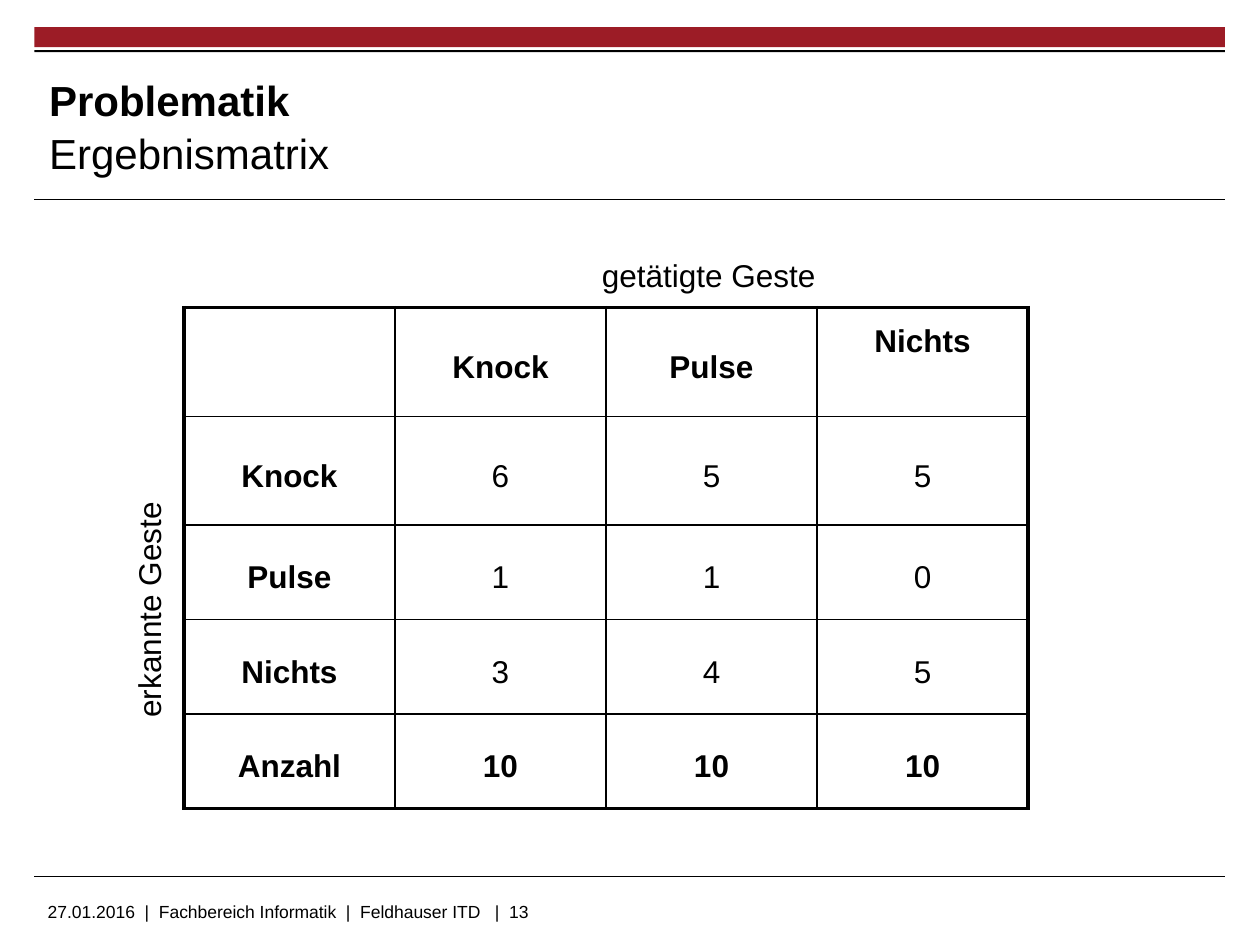
from lxml.etree import SubElement
from pptx import Presentation
from pptx.dml.color import RGBColor
from pptx.enum.shapes import MSO_CONNECTOR, MSO_SHAPE
from pptx.enum.text import MSO_ANCHOR as Anchor, PP_ALIGN as Align
from pptx.oxml import parse_xml
from pptx.oxml.ns import nsdecls, qn
from pptx.util import Pt

COLORS = {"band": "9C1C26", "ink": "000000"}
FONT = "Arial"
LEFT, WIDTH = 19.6, 680.4

MATRIX = [
    ["", "Knock", "Pulse", "Nichts"],
    ["Knock", "6", "5", "5"],
    ["Pulse", "1", "1", "0"],
    ["Nichts", "3", "4", "5"],
    ["Anzahl", "10", "10", "10"],
]
ROW_HEIGHTS = [62.4, 62, 54, 54, 54]
COLUMN_WIDTH = 120.6
OUTER, INNER = 2.25, 1


def color(name):
    return RGBColor.from_string(COLORS[name])


def style_font(paragraph, size, bold=False):
    font = paragraph.font
    font.name, font.size, font.bold = FONT, Pt(size), bold
    font.color.rgb = color("ink")


def add_bar(slide, top, height, fill):
    bar = slide.shapes.add_shape(
        MSO_SHAPE.RECTANGLE, Pt(LEFT), Pt(top), Pt(WIDTH), Pt(height))
    bar.shadow.inherit = False
    bar.fill.solid()
    bar.fill.fore_color.rgb = color(fill)
    bar.line.fill.background()


def add_rule(slide, top):
    rule = slide.shapes.add_connector(
        MSO_CONNECTOR.STRAIGHT, Pt(LEFT), Pt(top), Pt(LEFT + WIDTH), Pt(top))
    rule.line.color.rgb = color("ink")
    rule.line.width = Pt(0.6)
    SubElement(rule._element.spPr, qn("a:effectLst"))


def add_label(slide, text, left, top, width, height, size, align, rotation=0):
    label = slide.shapes.add_textbox(Pt(left), Pt(top), Pt(width), Pt(height))
    label.rotation = rotation
    label.text_frame.word_wrap = True
    paragraph = label.text_frame.paragraphs[0]
    paragraph.text = text
    paragraph.alignment = align
    style_font(paragraph, size)


def fill_title(slide, topic, subtopic):
    title = slide.shapes.title
    title.left, title.top, title.width, title.height = (
        Pt(28.1), Pt(38.2), Pt(522.7), Pt(66.2))
    frame = title.text_frame
    frame.margin_left = frame.margin_right = 0
    frame.margin_top = frame.margin_bottom = 0
    frame.vertical_anchor = Anchor.MIDDLE
    paragraph = frame.paragraphs[0]
    paragraph.alignment = Align.LEFT
    paragraph.line_spacing = 1.06
    style_font(paragraph, 24)
    topic_run = paragraph.add_run()
    topic_run.text = topic
    topic_run.font.bold = True
    paragraph.add_line_break()
    paragraph.add_run().text = subtopic


def set_borders(cell, widths):
    """Widths are given in the order left, right, top, bottom."""
    properties = cell._tc.get_or_add_tcPr()
    for index, (side, width) in enumerate(zip("LRTB", widths)):
        properties.insert(index, parse_xml(
            f'<a:ln{side} {nsdecls("a")} w="{Pt(width)}"><a:solidFill>'
            f'<a:srgbClr val="{COLORS["ink"]}"/></a:solidFill></a:ln{side}>'))


def fill_cell(cell, text, bold):
    cell.fill.background()
    cell.vertical_anchor = Anchor.MIDDLE
    paragraph = cell.text_frame.paragraphs[0]
    paragraph.text = text
    paragraph.alignment = Align.CENTER
    paragraph.line_spacing = 1.3
    paragraph.space_before, paragraph.space_after = Pt(2), Pt(2.2)
    style_font(paragraph, 18, bold)


def add_matrix(slide, left, top):
    last_row, last_column = len(MATRIX) - 1, len(MATRIX[0]) - 1
    matrix = slide.shapes.add_table(
        last_row + 1, last_column + 1, Pt(left), Pt(top),
        Pt(COLUMN_WIDTH * (last_column + 1)), Pt(sum(ROW_HEIGHTS))).table
    matrix.first_row = matrix.horz_banding = False
    for column in matrix.columns:
        column.width = Pt(COLUMN_WIDTH)
    for r, (values, height) in enumerate(zip(MATRIX, ROW_HEIGHTS)):
        matrix.rows[r].height = Pt(height)
        for c, value in enumerate(values):
            cell = matrix.cell(r, c)
            fill_cell(cell, value, bold=r in (0, last_row) or c == 0)
            edges = (c == 0, c == last_column, r == 0, r == last_row)
            set_borders(cell, [OUTER if edge else INNER for edge in edges])
    # The last heading sits higher than the others
    matrix.cell(0, last_column).vertical_anchor = Anchor.TOP


def main():
    deck = Presentation()
    deck.slide_width, deck.slide_height = Pt(720), Pt(540)
    slide = deck.slides.add_slide(deck.slide_layouts[5])

    # Frame of the page
    add_bar(slide, 15.6, 11.4, "band")
    add_bar(slide, 28.6, 1.2, "ink")
    add_rule(slide, 114.2)
    add_rule(slide, 500.6)
    add_label(
        slide,
        "27.01.2016  |  Fachbereich Informatik  |  Feldhauser ITD   |  13",
        20.2, 511.2, 391, 18, 10, Align.LEFT)

    # Title
    fill_title(slide, "Problematik", "Ergebnismatrix")

    # Result matrix with its axis labels
    add_matrix(slide, 105.1, 175.7)
    add_label(slide, "getätigte Geste", 309.6, 142.6, 190.8, 28.8, 18, Align.CENTER)
    add_label(slide, "erkannte Geste", -23, 334.1, 216, 28.8, 18, Align.CENTER, 270)

    deck.save("out.pptx")


if __name__ == "__main__":
    main()
